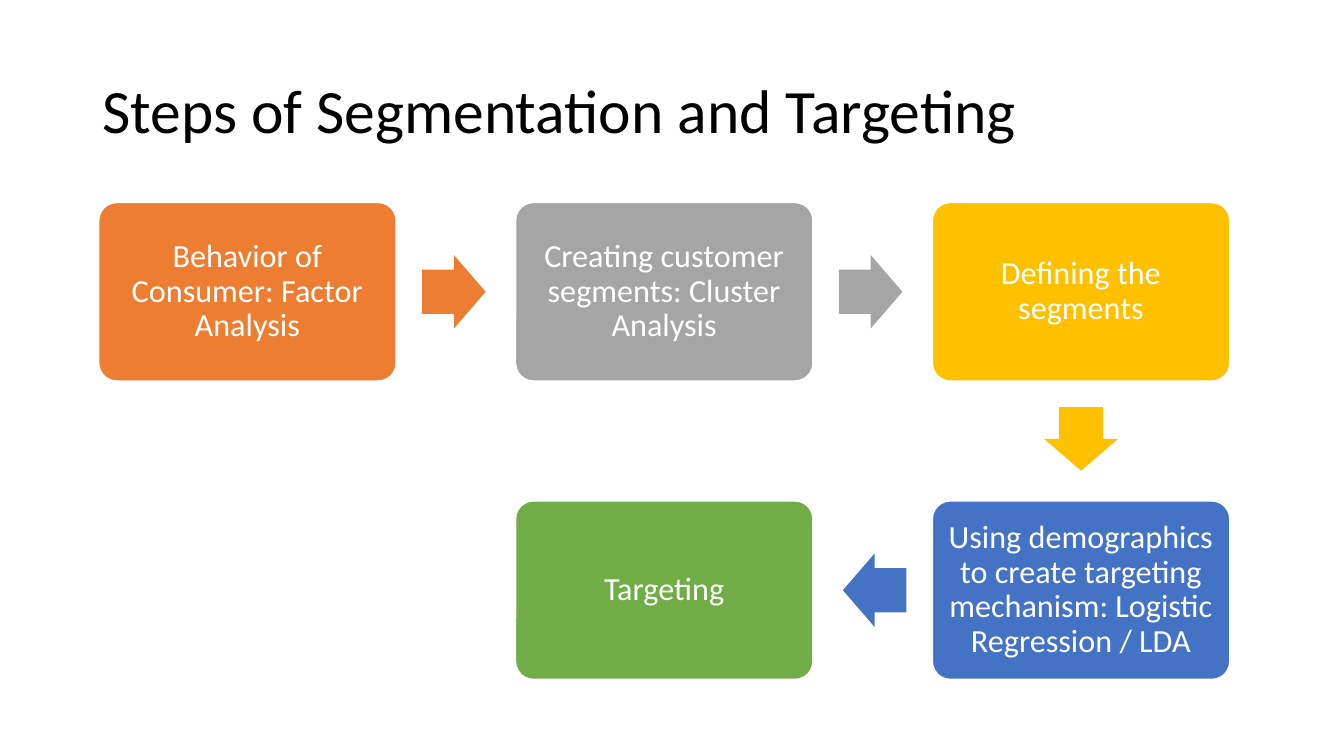
"""Build the slide showing the steps of segmentation and targeting."""
from itertools import pairwise
from math import atan2, cos, degrees, sin
from typing import NamedTuple

from pptx import Presentation
from pptx.dml.color import RGBColor
from pptx.enum import shapes, text
from pptx.util import Pt

FONT = "Calibri"
WHITE = "FFFFFF"
LEFT, TOP = 70.56, 144.72
COLUMN_PITCH, ROW_PITCH = 297.72, 213.12
BOX_WIDTH, BOX_HEIGHT = 212.4, 127.44
ARROW_LENGTH, ARROW_WIDTH = 45.36, 52.56
ARROW_SETBACK = 1.4


class Step(NamedTuple):
    label: str
    color: str
    column: int
    row: int

    @property
    def left(self) -> float:
        return LEFT + self.column * COLUMN_PITCH

    @property
    def top(self) -> float:
        return TOP + self.row * ROW_PITCH


STEPS = [
    Step("Behavior of Consumer: Factor Analysis", "ED7D31", 0, 0),
    Step("Creating customer segments: Cluster Analysis", "A5A5A5", 1, 0),
    Step("Defining the segments", "FFC000", 2, 0),
    Step("Using demographics to create targeting mechanism: Logistic Regression / LDA",
         "4472C4", 2, 1),
    Step("Targeting", "70AD47", 1, 1),
]


def rgb(color: str) -> RGBColor:
    return RGBColor.from_string(color)


def write(shape, content: str, size: float, color: str, alignment) -> None:
    frame = shape.text_frame
    frame.word_wrap = True
    frame.vertical_anchor = text.MSO_ANCHOR.MIDDLE
    frame.text = content
    paragraph = frame.paragraphs[0]
    paragraph.alignment = alignment
    paragraph.line_spacing = 0.9
    font = paragraph.runs[0].font
    font.name = FONT
    font.size = Pt(size)
    font.color.rgb = rgb(color)


def add_filled(slide, kind, left: float, top: float, width: float, height: float, color: str):
    shape = slide.shapes.add_shape(kind, Pt(left), Pt(top), Pt(width), Pt(height))
    shape.shadow.inherit = False
    shape.fill.solid()
    shape.fill.fore_color.rgb = rgb(color)
    shape.line.fill.background()
    return shape


def add_step(slide, step: Step) -> None:
    box = add_filled(slide, shapes.MSO_SHAPE.ROUNDED_RECTANGLE, step.left, step.top,
                     BOX_WIDTH, BOX_HEIGHT, step.color)
    box.adjustments[0] = 0.1
    box.line.color.rgb = rgb(WHITE)
    box.line.width = Pt(1)
    write(box, step.label, 23, WHITE, text.PP_ALIGN.CENTER)


def add_arrow(slide, source: Step, target: Step) -> None:
    angle = atan2(target.top - source.top, target.left - source.left)
    center_x = (source.left + target.left + BOX_WIDTH) / 2 - ARROW_SETBACK * cos(angle)
    center_y = (source.top + target.top + BOX_HEIGHT) / 2 - ARROW_SETBACK * sin(angle)
    arrow = add_filled(slide, shapes.MSO_SHAPE.RIGHT_ARROW, center_x - ARROW_LENGTH / 2,
                       center_y - ARROW_WIDTH / 2, ARROW_LENGTH, ARROW_WIDTH, source.color)
    arrow.adjustments[0] = 0.6
    arrow.adjustments[1] = 0.5
    arrow.rotation = degrees(angle)


def main() -> None:
    presentation = Presentation()
    presentation.slide_width, presentation.slide_height = Pt(960), Pt(540)
    slide = presentation.slides.add_slide(presentation.slide_layouts[6])
    title = slide.shapes.add_textbox(Pt(66), Pt(28.75), Pt(828), Pt(104.4))
    write(title, "Steps of Segmentation and Targeting", 44, "000000", text.PP_ALIGN.LEFT)
    for step in STEPS:
        add_step(slide, step)
    for source, target in pairwise(STEPS):
        add_arrow(slide, source, target)
    presentation.save("out.pptx")


if __name__ == "__main__":
    main()
